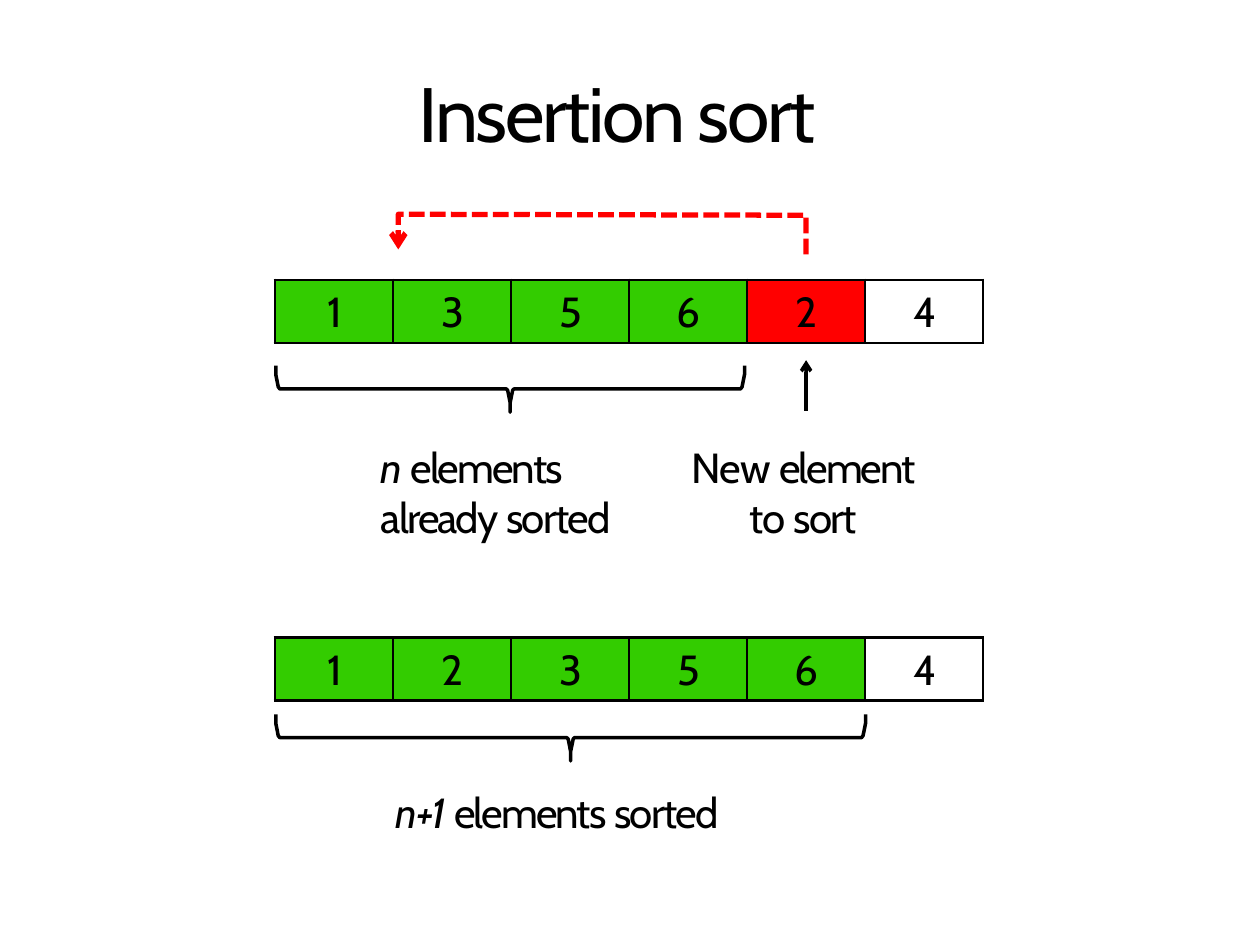
"""Build the insertion sort slide."""
from dataclasses import dataclass
from typing import Any

from lxml.etree import SubElement as Sub
from pptx import Presentation
from pptx.dml.color import RGBColor as RGB
from pptx.enum.dml import MSO_LINE as Dash
from pptx.enum.shapes import MSO_CONNECTOR as Link
from pptx.enum.text import MSO_ANCHOR as Anchor, PP_ALIGN as Align
from pptx.oxml.ns import qn
from pptx.util import Cm, Pt


@dataclass(frozen=True)
class Theme:
    font: str = "Cabin"
    black: str = "000000"
    green: str = "33CC00"
    red: str = "FF0000"
    head: float = 44
    body: float = 24
    lead: float = 28.7
    rule: float = 1.5
    line: float = 2
    dash: float = 3


@dataclass(frozen=True)
class Word:
    text: str
    track: float = 0
    slant: bool = False


@dataclass(frozen=True)
class Label:
    left: float
    top: float
    width: float
    height: float
    inset: float
    words: tuple[Word, ...]
    lead: float | None = None
    hang: float = 0


@dataclass(frozen=True)
class Row:
    top: float
    values: str
    done: int
    fresh: int | None = None


@dataclass(frozen=True)
class Brace:
    top: float
    width: float


THEME = Theme()
LEFT, COL, HIGH = 5.54, 2.38, 1.27
EDGE = ((0, 0), (0, 0.18), (0.03, 0.33), (0.05, 0.43), (0.08, 0.47))
TIP = ((-0.08, 0.47), (-0.05, 0.5), (-0.03, 0.6), (0, 0.75), (0, 0.94))

TITLE = Label(8.41, 1.27, 8.56, 1.93, 0.06, (Word("Insertion sort", -1.4),))
ROWS = (Row(5.64, "135624", 4, 4), Row(12.85, "123564", 5))
BRACES = (Brace(7.37, 9.45), Brace(14.4, 11.89))
LABELS = (
    Label(7.65, 8.76, 5, 2.11, 0.15,
          (Word("n ", -0.8, True), Word("elements already ", -1.1),
           Word("sorted", -0.9)), THEME.lead),
    Label(13.92, 8.76, 4.7, 2.11, 0.15,
          (Word("New ", -0.6), Word("element ", -1.1), Word("to ", -1),
           Word("sort", -0.8)), THEME.lead, 1.17),
    Label(7.95, 15.8, 7.14, 1.09, 0.06,
          (Word("n+1 ", -0.7, True), Word("elements ", -1.1),
           Word("sorted", -0.9))),
)


def put(item: Any, form: dict[str, Any]) -> None:
    for key, value in form.items():
        setattr(item, key, value)


def style(font: Any, size: float, slant: bool = False) -> None:
    put(font, {"name": THEME.font, "size": Pt(size), "bold": False,
               "italic": slant})
    font.color.rgb = RGB.from_string(THEME.black)


def write(shape: Any, label: Label, size: float) -> None:
    put(shape, {"left": Cm(label.left), "top": Cm(label.top),
                "width": Cm(label.width), "height": Cm(label.height)})
    frame = shape.text_frame
    put(frame, {"word_wrap": True, "vertical_anchor": Anchor.TOP,
                "margin_left": Cm(0.03), "margin_right": 0,
                "margin_top": Cm(label.inset), "margin_bottom": 0})
    para = frame.paragraphs[0]
    put(para, {"alignment": Align.LEFT, "space_before": Pt(0),
               "line_spacing": Pt(label.lead) if label.lead else 1.0})
    if label.hang:
        props = para._p.get_or_add_pPr()
        props.set("marL", str(Cm(label.hang)))
        props.set("indent", str(-Cm(label.hang)))
    for word in label.words:
        run = para.add_run()
        run.text = word.text
        style(run.font, size, word.slant)
        run._r.get_or_add_rPr().set("spc", str(round(word.track * 100)))


def border(cell: Any) -> None:
    props = cell._tc.get_or_add_tcPr()
    for side in "LRTB":
        line = Sub(props, qn(f"a:ln{side}"), w=str(Pt(THEME.rule)))
        fill = Sub(line, qn("a:solidFill"))
        Sub(fill, qn("a:srgbClr"), val=THEME.black)


def draw_row(shapes: Any, row: Row) -> None:
    count = len(row.values)
    table = shapes.add_table(1, count, Cm(LEFT), Cm(row.top),
                             Cm(COL * count), Cm(HIGH)).table
    put(table, {"first_row": False, "horz_banding": False})
    for i, value in enumerate(row.values):
        table.columns[i].width = Cm(COL)
        cell = table.cell(0, i)
        put(cell, {"margin_left": Cm(0.03), "margin_right": 0,
                   "margin_top": Cm(0.15), "margin_bottom": 0,
                   "text": value})
        para = cell.text_frame.paragraphs[0]
        para.alignment = Align.CENTER
        style(para.runs[0].font, THEME.body)
        border(cell)
        if i < row.done or i == row.fresh:
            cell.fill.solid()
            tint = THEME.red if i == row.fresh else THEME.green
            cell.fill.fore_color.rgb = RGB.from_string(tint)
        else:
            cell.fill.background()


def ink(line: Any, color: str, width: float) -> None:
    line.color.rgb = RGB.from_string(color)
    line.width = Pt(width)


def trace(shapes: Any, points: list[tuple[float, float]], color: str,
          width: float) -> Any:
    spots = [(Cm(x), Cm(y)) for x, y in points]
    pen = shapes.build_freeform(*spots[0])
    pen.add_line_segments(spots[1:], close=False)
    shape = pen.convert_to_shape()
    shape.shadow.inherit = False
    shape.fill.background()
    ink(shape.line, color, width)
    return shape


def draw_brace(shapes: Any, brace: Brace) -> None:
    half = [*EDGE, *((brace.width / 2 + x, y) for x, y in TIP)]
    back = [(brace.width - x, y) for x, y in half[-2::-1]]
    points = [(LEFT + 0.02 + x, brace.top + y) for x, y in half + back]
    trace(shapes, points, THEME.black, THEME.line)


def point(line: Any) -> None:
    Sub(line._get_or_add_ln(), qn("a:tailEnd"), type="arrow")


def draw_arrows(shapes: Any) -> None:
    mid = LEFT + COL * 4.5
    link = shapes.add_connector(Link.STRAIGHT, Cm(mid), Cm(8.28),
                                Cm(mid), Cm(7.26))
    ink(link.line, THEME.black, THEME.line)
    point(link.line)
    Sub(link._element.spPr, qn("a:effectLst"))
    goal = LEFT + COL + 0.11
    move = trace(shapes, [(mid, 5.13), (mid, 4.34), (goal, 4.32),
                          (goal, 5.03)], THEME.red, THEME.dash)
    move.line.dash_style = Dash.SQUARE_DOT
    point(move.line)


def main() -> None:
    deck = Presentation()
    put(deck, {"slide_width": Cm(25.4), "slide_height": Cm(19.05)})
    shapes = deck.slides.add_slide(deck.slide_layouts[5]).shapes
    write(shapes.title, TITLE, THEME.head)
    for row in ROWS:
        draw_row(shapes, row)
    for brace in BRACES:
        draw_brace(shapes, brace)
    for label in LABELS:
        write(shapes.add_textbox(0, 0, 0, 0), label, THEME.body)
    draw_arrows(shapes)
    deck.save("out.pptx")


if __name__ == "__main__":
    main()
